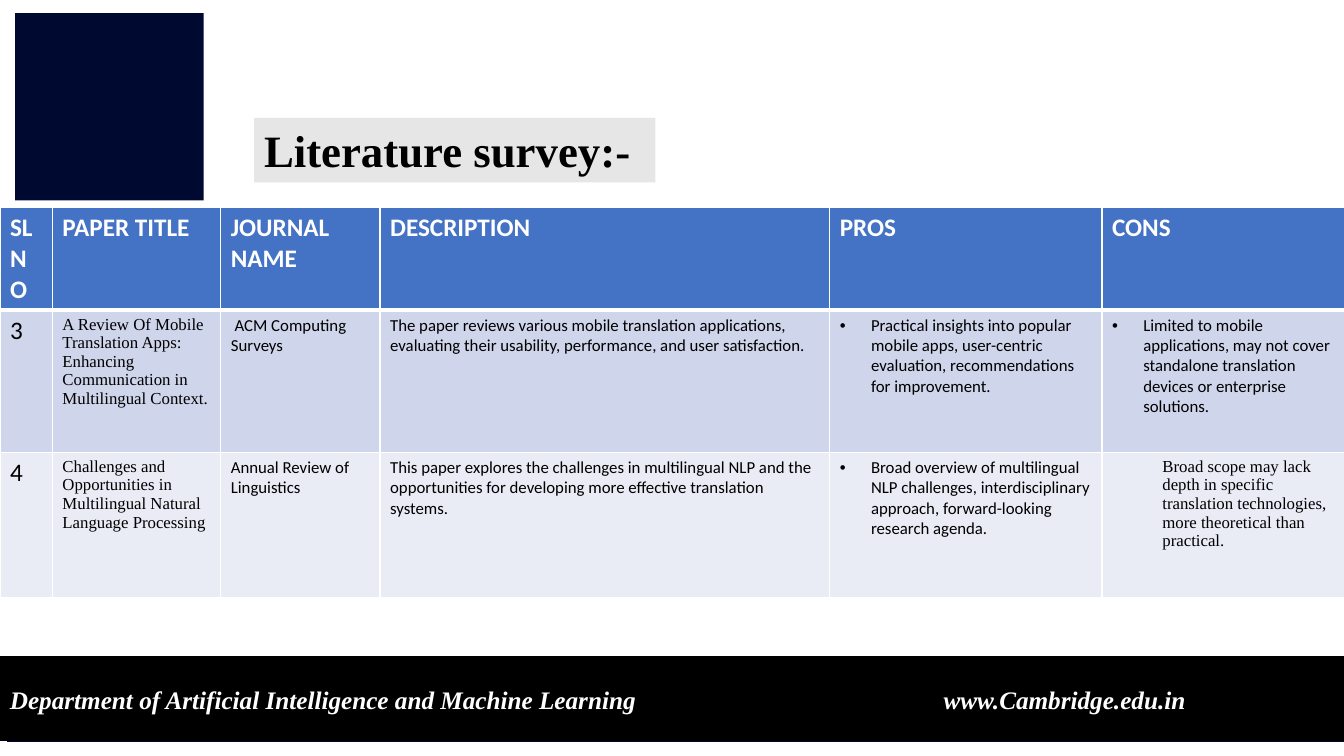
from lxml.etree import SubElement
from pptx import Presentation
from pptx.dml.color import RGBColor
from pptx.enum.shapes import MSO_SHAPE
from pptx.enum.text import MSO_ANCHOR, PP_ALIGN
from pptx.oxml.ns import qn
from pptx.util import Inches, Pt

TITLE = "Literature survey:-"
DEPARTMENT = "Department of Artificial Intelligence and Machine Learning"
WEBSITE = "www.Cambridge.edu.in"
HEADINGS = ["SL NO", "PAPER TITLE", "JOURNAL NAME", "DESCRIPTION", "PROS", "CONS"]
PAPERS = [
    ["3",
     "A Review Of Mobile Translation Apps: Enhancing Communication in Multilingual Context.",
     " ACM Computing Surveys",
     "The paper reviews various mobile translation applications, evaluating their "
     "usability, performance, and user satisfaction.",
     "Practical insights into popular mobile apps, user-centric evaluation, "
     "recommendations for improvement.",
     "Limited to mobile applications, may not cover standalone translation devices "
     "or enterprise solutions."],
    ["4",
     "Challenges and Opportunities in Multilingual Natural Language Processing",
     "Annual Review of Linguistics",
     "This paper explores the challenges in multilingual NLP and the opportunities "
     "for developing more effective translation systems.",
     "Broad overview of multilingual NLP challenges, interdisciplinary approach, "
     "forward-looking research agenda.",
     "Broad scope may lack depth in specific translation technologies, more "
     "theoretical than practical."],
]
COLUMN_WIDTHS = [0.52, 1.67, 1.58, 4.46, 2.7, 2.41]
ROW_HEIGHTS = [0.96, 1.41, 1.44]

SANS, SERIF = "Calibri", "Times New Roman"
COLORS = {"navy": "000A30", "grey": "E7E6E6", "black": "000000", "white": "FFFFFF",
          "header": "4472C4", "odd": "CFD5EA", "even": "E9EBF5"}
SLIDE_WIDTH, SLIDE_HEIGHT = 13.33, 7.5
TABLE_TOP = 2.06
WEBSITE_TAB = 9.26
BULLET_INDENT = 0.31


def color(name):
    return RGBColor.from_string(COLORS[name])


def add_block(slide, left, top, width, height, fill):
    block = slide.shapes.add_shape(MSO_SHAPE.RECTANGLE, Inches(left), Inches(top),
                                   Inches(width), Inches(height))
    block.shadow.inherit = False
    block.fill.solid()
    block.fill.fore_color.rgb = color(fill)
    block.line.fill.background()
    return block


def style(paragraph, size, face, ink, bold=False, italic=False):
    paragraph.alignment = PP_ALIGN.LEFT
    for run in paragraph.runs:
        font = run.font
        font.size, font.name, font.bold, font.italic = Pt(size), face, bold, italic
        font.color.rgb = color(ink)


def indent(paragraph, margin, bullet=False):
    properties = paragraph._p.get_or_add_pPr()
    properties.set("marL", str(Inches(margin)))
    properties.set("indent", str(-Inches(margin) if bullet else 0))
    if bullet:
        SubElement(properties, qn("a:buFont"), typeface="Arial")
        SubElement(properties, qn("a:buChar"), char="•")


def add_tab(paragraph, position):
    tabs = SubElement(paragraph._p.get_or_add_pPr(), qn("a:tabLst"))
    SubElement(tabs, qn("a:tab"), pos=str(Inches(position)), algn="l")


def set_borders(cell, top, bottom):
    """Draw white cell borders; top and bottom are widths in points."""
    properties = cell._tc.get_or_add_tcPr()
    for side, width in (("L", 1), ("R", 1), ("T", top), ("B", bottom)):
        line = SubElement(properties, qn("a:ln" + side), w=str(Pt(width)))
        fill = SubElement(line, qn("a:solidFill"))
        SubElement(fill, qn("a:srgbClr"), val=COLORS["white"])


def add_survey(slide):
    rows = [HEADINGS] + PAPERS
    table = slide.shapes.add_table(
        len(rows), len(HEADINGS), 0, Inches(TABLE_TOP),
        Inches(SLIDE_WIDTH), Inches(sum(ROW_HEIGHTS))).table
    for column, width in zip(table.columns, COLUMN_WIDTHS):
        column.width = Inches(width)
    for r, (texts, height) in enumerate(zip(rows, ROW_HEIGHTS)):
        table.rows[r].height = Inches(height)
        for c, (heading, text) in enumerate(zip(HEADINGS, texts)):
            cell = table.cell(r, c)
            set_borders(cell, top=3 if r == 1 else 1, bottom=3 if r == 0 else 1)
            cell.fill.solid()
            cell.fill.fore_color.rgb = color(("header", "odd", "even")[r])
            cell.text_frame.text = text
            paragraph = cell.text_frame.paragraphs[0]
            if r == 0:
                style(paragraph, 18, SANS, "white", bold=True)
                continue
            plain_cons = heading == "CONS" and r == 2
            if plain_cons:
                paragraph.level = 1
                indent(paragraph, 0.5)
            elif heading in ("PROS", "CONS"):
                indent(paragraph, BULLET_INDENT, bullet=True)
            serif = plain_cons or heading == "PAPER TITLE"
            style(paragraph, 18 if heading == "SL NO" else 12,
                  SERIF if serif else SANS, "black")


def main():
    presentation = Presentation()
    presentation.slide_width = Inches(SLIDE_WIDTH)
    presentation.slide_height = Inches(SLIDE_HEIGHT)
    slide = presentation.slides.add_slide(presentation.slide_layouts[6])

    add_block(slide, 0.15, 0.13, 1.87, 1.86, "navy")
    add_block(slide, 0.07, 6.55, SLIDE_WIDTH - 0.07, 0.81, "navy")

    title = add_block(slide, 2.52, 1.17, 3.98, 0.64, "grey")
    title.text_frame.text = TITLE
    title.text_frame.vertical_anchor = MSO_ANCHOR.TOP
    style(title.text_frame.paragraphs[0], 32, SERIF, "black", bold=True)

    add_survey(slide)

    footer = add_block(slide, 0, 6.52, SLIDE_WIDTH, 0.83, "black")
    footer.line.color.rgb = color("black")
    footer.line.width = Pt(1)
    footer.text_frame.text = f"{DEPARTMENT}\t{WEBSITE}"
    footer.text_frame.vertical_anchor = MSO_ANCHOR.MIDDLE
    contact = footer.text_frame.paragraphs[0]
    add_tab(contact, WEBSITE_TAB)
    style(contact, 18, SERIF, "white", bold=True, italic=True)

    presentation.save("out.pptx")


if __name__ == "__main__":
    main()
